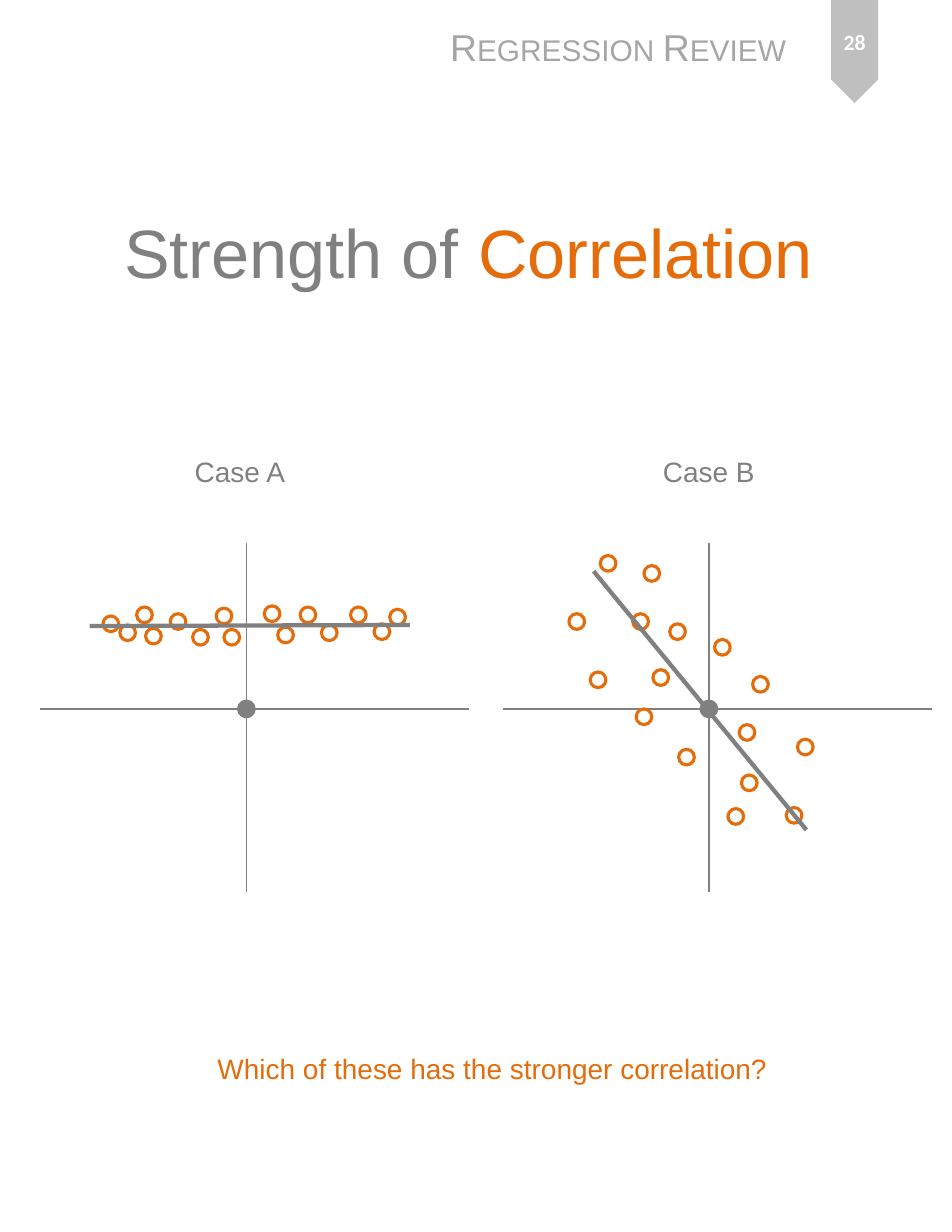
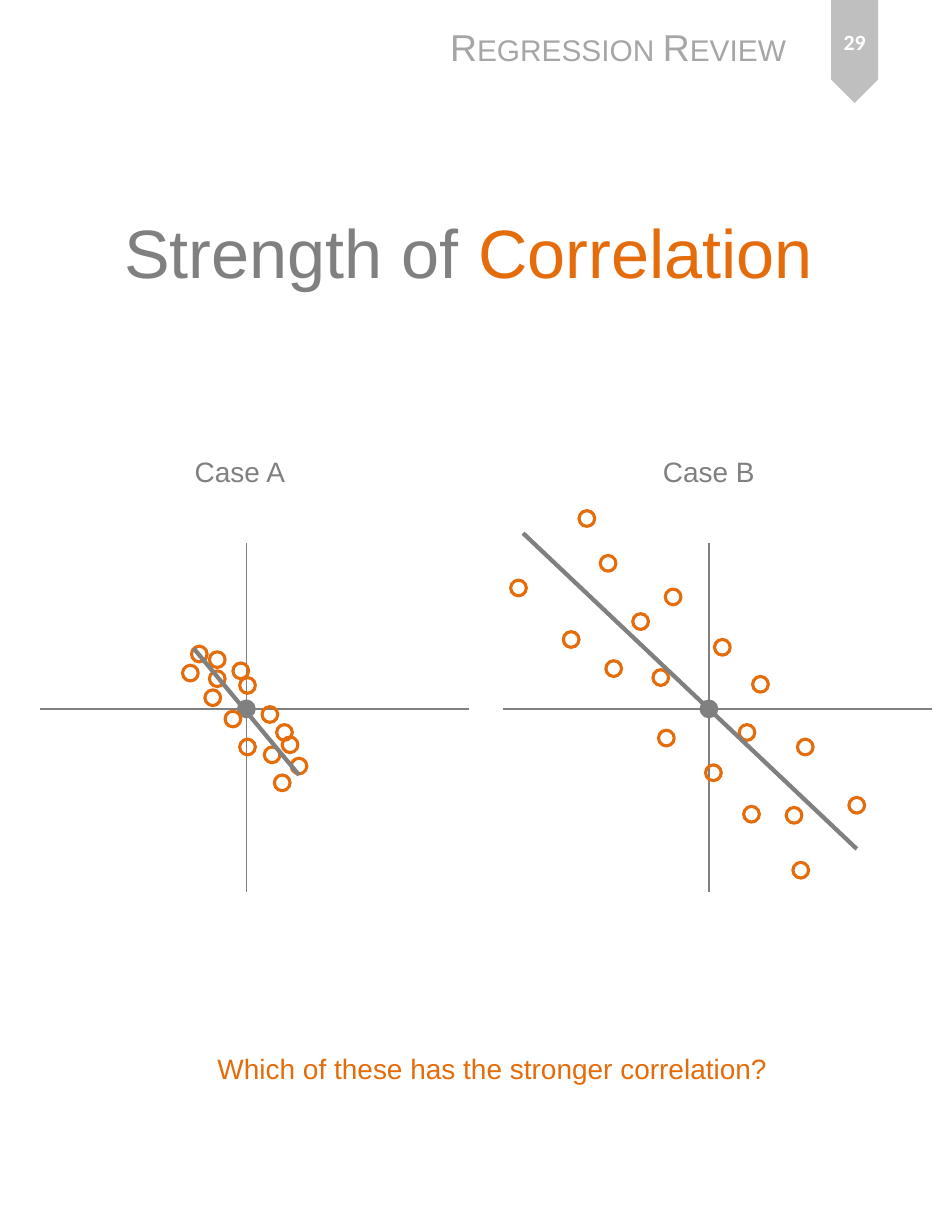
from lxml.etree import SubElement
from pptx import Presentation
from pptx.dml.color import RGBColor
from pptx.enum.shapes import MSO_CONNECTOR as Connector, MSO_SHAPE as Preset
from pptx.enum.text import MSO_ANCHOR as Anchor, PP_ALIGN as Align
from pptx.oxml.ns import qn
from pptx.util import Inches, Pt

COLORS = {
    "gray": "808080",
    "orange": "E46C0A",
    "band": "BFBFBF",
    "header": "A6A6A6",
    "white": "FFFFFF",
}
COLUMNS, ROWS = 850, 1100
CELL = Inches(8.5) // COLUMNS
DOT = 14
ORIGIN = (184, 148)
FIRST_PAGE = 28

HEADER_BOX = (392, 0, 417, 92)
TITLE_BOX = (36, 133, 765, 183)
QUESTION_BOX = (163, 934, 553, 40)
CASES = [
    {"name": "Case A", "box": (36, 485, 383, 311), "label": (164, 401, 102, 40)},
    {"name": "Case B", "box": (449, 485, 383, 311), "label": (582, 401, 103, 40)},
]

SHARED_B_DOTS = [(12, 55), (46, 22), (86, -34), (34, -21),
                 (76, -95), (-43, 28), (-61, 78), (-90, 130)]
FLAT_A = {
    "dots": [(-13, 64), (-41, 64), (100, 84), (35, 66), (23, 85),
             (-20, 83), (-83, 65), (135, 82), (55, 84), (121, 69),
             (-106, 68), (-91, 84), (-61, 78), (-121, 76), (74, 68)],
    "trend": [(-140, 74), (146, 75)],
}
STEEP_B = {
    "dots": SHARED_B_DOTS + [
        (-20, -43), (-58, -7), (-99, 26), (-28, 69),
        (36, -66), (-118, 78), (24, -96), (-51, 121)],
    "trend": [(-103, 123), (87, -108)],
}
SHORT_A = {
    "dots": [(-5, 34), (1, 21), (32, -66), (1, -34), (-12, -9),
             (-30, 10), (-42, 49), (34, -21), (23, -41), (39, -32),
             (-26, 27), (-50, 32), (21, -5), (-26, 44), (47, -51)],
    "trend": [(-47, 54), (47, -59)],
}
LONG_B = {
    "dots": SHARED_B_DOTS + [
        (-38, -26), (-85, 36), (-123, 62), (-32, 100), (4, -57),
        (-170, 108), (38, -94), (-109, 170), (82, -144), (132, -86)],
    "trend": [(-166, 157), (132, -125)],
}
COMPARISONS = [(FLAT_A, STEEP_B), (SHORT_A, LONG_B)]


def cells(*counts):
    """Turn counts of grid cells into slide lengths."""
    return [count * CELL for count in counts]


def color(name):
    """Look up a named colour."""
    return RGBColor.from_string(COLORS[name])


def add_text(slide, box, *parts, size=18, font="Arial", align=Align.LEFT,
             anchor=Anchor.TOP, wrap=True, bold=False, small_caps=False):
    """Add one paragraph made of (text, colour name) parts."""
    frame = slide.shapes.add_textbox(*cells(*box)).text_frame
    frame.word_wrap = wrap
    frame.vertical_anchor = anchor
    paragraph = frame.paragraphs[0]
    paragraph.alignment = align
    for text, color_name in parts:
        run = paragraph.add_run()
        run.text = text
        run.font.name = font
        run.font.size = Pt(size)
        run.font.bold = bold
        run.font.color.rgb = color(color_name)
        if small_caps:
            run._r.get_or_add_rPr().set("cap", "small")


def add_preset(slide, preset, box, fill=None, line=None):
    """Add a preset shape with an optional fill and outline."""
    shape = slide.shapes.add_shape(preset, *cells(*box))
    shape.shadow.inherit = False
    if fill:
        shape.fill.solid()
        shape.fill.fore_color.rgb = color(fill)
    else:
        shape.fill.background()
    if line:
        shape.line.color.rgb = color(line)
        shape.line.width = Pt(2)
    else:
        shape.line.fill.background()
    return shape


def add_line(slide, start, end, width):
    """Add a straight gray line."""
    line = slide.shapes.add_connector(Connector.STRAIGHT, *cells(*start, *end))
    line.line.color.rgb = color("gray")
    line.line.width = Pt(width)
    SubElement(line._element.spPr, qn("a:effectLst"))


def add_dot(slide, center, line, fill=None):
    """Add a round marker around a centre."""
    x, y = center
    add_preset(slide, Preset.OVAL, (x - DOT / 2, y - DOT / 2, DOT, DOT), fill, line)


def add_header(slide, box, page):
    """Add the section name and the page ribbon."""
    left, top, width, height = box
    ribbon_width = 42
    ribbon_center = left + width - 46
    ribbon = add_preset(
        slide, Preset.PENTAGON,
        (ribbon_center - height / 2, top + (height - ribbon_width) / 2,
         height, ribbon_width), "band")
    ribbon.rotation = 90
    add_text(slide, (ribbon_center - 37.5, top + 8, 75, 59), (str(page), "white"),
             size=14, font="Calibri", align=Align.CENTER, anchor=Anchor.MIDDLE,
             bold=True)
    add_text(slide, (left, top + 17, 325, 50), ("Regression Review", "header"),
             size=24, wrap=False, small_caps=True)


def add_plot(slide, box, dots, trend):
    """Add crossed axes, sample dots and a trend line measured from the origin."""
    left, top, width, height = box
    origin_x, origin_y = left + ORIGIN[0], top + ORIGIN[1]

    def place(point):
        """Turn an offset from the origin into a grid position."""
        return origin_x + point[0], origin_y - point[1]

    add_line(slide, (origin_x, top), (origin_x, top + height), 0.75)
    add_line(slide, (left, origin_y), (left + width, origin_y), 0.75)
    add_dot(slide, (origin_x, origin_y), "gray", fill="gray")
    for dot in dots:
        add_dot(slide, place(dot), "orange")
    add_line(slide, *map(place, trend), 2.75)


def add_comparison(presentation, page, samples):
    """Add a slide that sets two cases side by side."""
    slide = presentation.slides.add_slide(presentation.slide_layouts[6])
    add_header(slide, HEADER_BOX, page)
    add_text(slide, TITLE_BOX, ("Strength of ", "gray"), ("Correlation", "orange"),
             size=44, align=Align.CENTER, anchor=Anchor.MIDDLE)
    for case, sample in zip(CASES, samples):
        add_text(slide, case["label"], (case["name"], "gray"), wrap=False)
        add_plot(slide, case["box"], **sample)
    add_text(slide, QUESTION_BOX,
             ("Which of these has the stronger correlation?", "orange"),
             align=Align.CENTER)


def main():
    """Build and save the presentation."""
    presentation = Presentation()
    presentation.slide_width, presentation.slide_height = cells(COLUMNS, ROWS)
    for page, samples in enumerate(COMPARISONS, FIRST_PAGE):
        add_comparison(presentation, page, samples)
    presentation.save("out.pptx")


if __name__ == "__main__":
    main()
